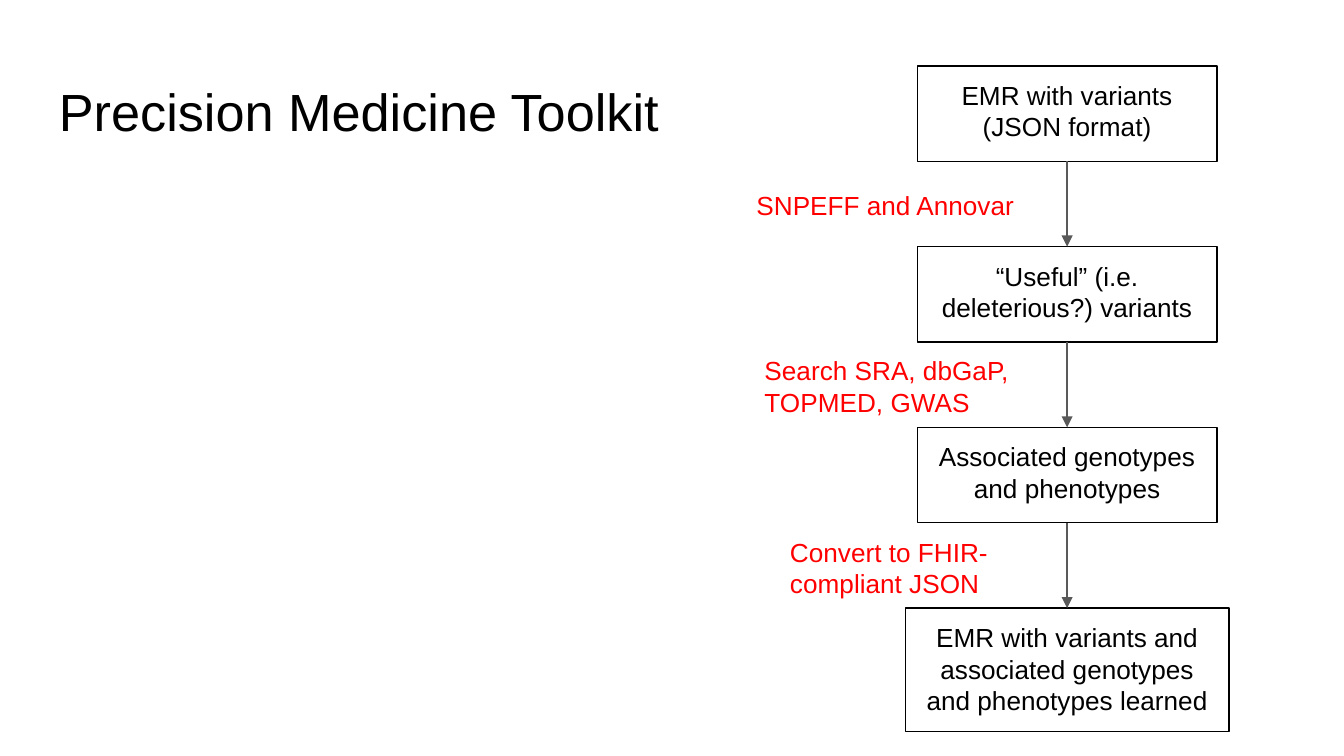
from lxml import etree
from pptx import Presentation
from pptx.dml.color import RGBColor
from pptx.enum import shapes, text
from pptx.oxml.ns import qn
from pptx.util import Inches, Pt

TITLE = "Precision Medicine Toolkit"
STAGES = [
    ("EMR with variants (JSON format)", 2.23, 0.71),
    ("“Useful” (i.e. deleterious?) variants", 2.23, 0.71),
    ("Associated genotypes and phenotypes", 2.23, 0.71),
    ("EMR with variants and associated genotypes and phenotypes learned", 2.41, 0.92),
]
STEPS = [
    ("SNPEFF and Annovar", 5.53, 1.31, 2.23),
    ("Search SRA, dbGaP, TOPMED, GWAS", 5.59, 2.54, 2.17),
    ("Convert to FHIR-compliant JSON", 5.78, 3.89, 2.23),
]
THEME = {
    "font": "Arial", "title": 28, "body": 14, "line": 0.75,
    "ink": RGBColor(0, 0, 0), "step": RGBColor(255, 0, 0), "arrow": RGBColor(0x59, 0x59, 0x59),
}
CENTER, TOP, PITCH = 7.94, 0.49, 1.345


def write(shape, words, size, color, align):
    frame = shape.text_frame
    frame.text = words
    frame.word_wrap = True
    frame.vertical_anchor = text.MSO_ANCHOR.TOP
    frame.margin_left = frame.margin_right = Inches(0.1)
    frame.margin_top = frame.margin_bottom = Inches(0.1)
    para = frame.paragraphs[0]
    para.alignment = align
    font = para.runs[0].font
    font.name, font.size = THEME["font"], Pt(THEME[size])
    font.color.rgb = THEME[color]


def add_label(page, words, left, top, width, height, size, color):
    label = page.shapes.add_textbox(*map(Inches, (left, top, width, height)))
    write(label, words, size, color, text.PP_ALIGN.LEFT)


def add_stage(page, index, words, width, height):
    place = (CENTER - width / 2, TOP + index * PITCH, width, height)
    box = page.shapes.add_shape(shapes.MSO_SHAPE.RECTANGLE, *map(Inches, place))
    box.shadow.inherit = False
    box.fill.background()
    box.line.color.rgb = THEME["ink"]
    box.line.width = Pt(THEME["line"])
    write(box, words, "body", "ink", text.PP_ALIGN.CENTER)
    return box


def add_arrow(page, upper, lower):
    arrow = page.shapes.add_connector(shapes.MSO_CONNECTOR.STRAIGHT, 0, 0, 0, 0)
    arrow.begin_connect(upper, 2)
    arrow.end_connect(lower, 0)
    arrow.line.color.rgb = THEME["arrow"]
    arrow.line.width = Pt(THEME["line"])
    outline = arrow._element.spPr.find(qn("a:ln"))
    etree.SubElement(outline, qn("a:tailEnd"), type="triangle")
    etree.SubElement(arrow._element.spPr, qn("a:effectLst"))


deck = Presentation()
deck.slide_width = Inches(10)
deck.slide_height = deck.slide_width * 9 // 16
page = deck.slides.add_slide(deck.slide_layouts[6])

add_label(page, TITLE, 0.34, TOP, 4.98, 0.63, "title", "ink")
boxes = [add_stage(page, index, *stage) for index, stage in enumerate(STAGES)]
for upper, lower in zip(boxes, boxes[1:]):
    add_arrow(page, upper, lower)
for words, left, top, width in STEPS:
    add_label(page, words, left, top, width, 0.41, "body", "step")

deck.save("out.pptx")
